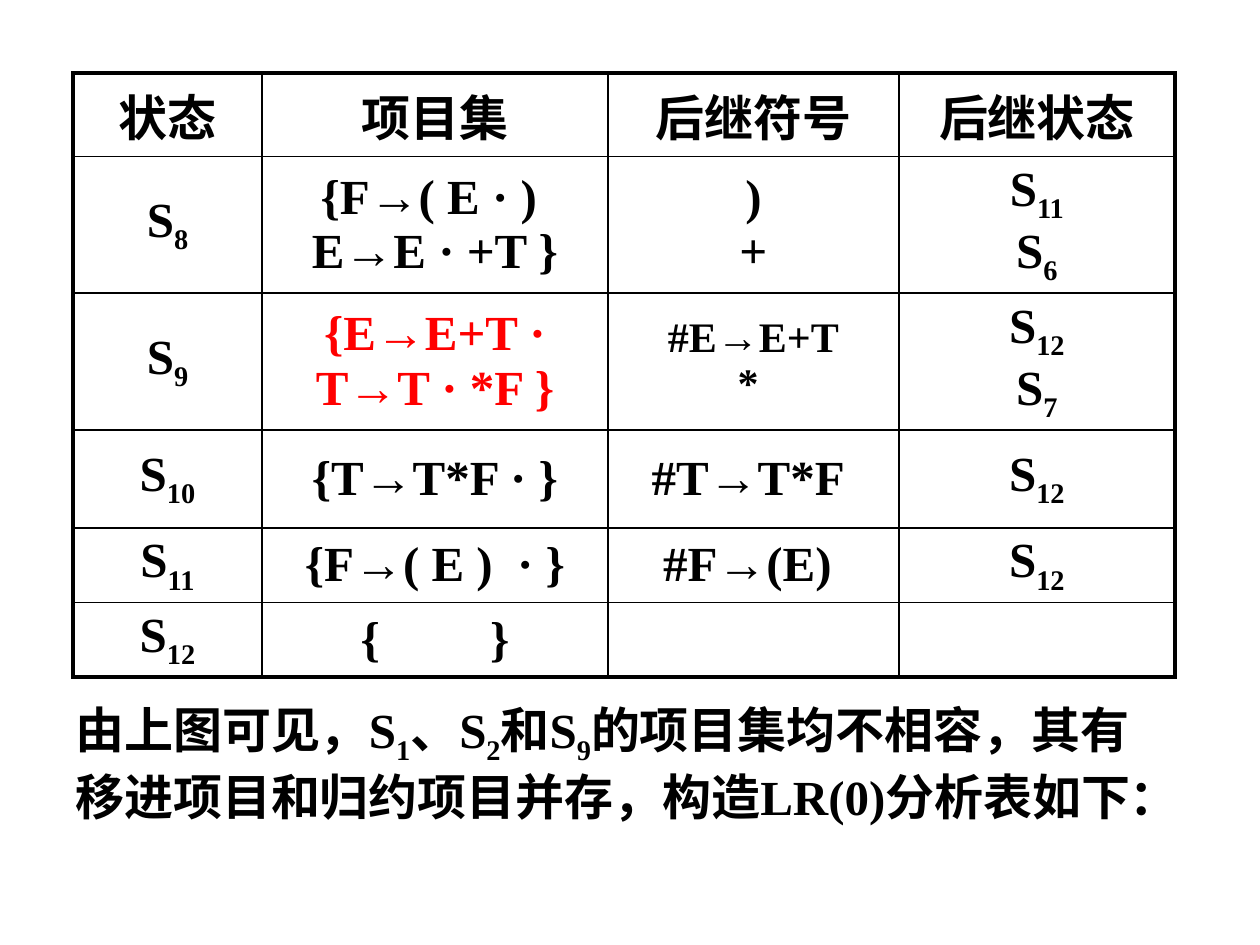
from lxml import etree
from pptx import Presentation
from pptx import util as u
from pptx.dml.color import RGBColor
from pptx.enum import text
from pptx.oxml.ns import qn

SCALE = 914400 // 126
FONT = "Times New Roman"
BLACK, RED = "000000", "FF0000"
COLS = [189, 346, 291, 276]
ROWS = [72, 130, 130, 98, 72, 72]
# Text between underscores is subscript; a line break starts a paragraph.
STATES = [
    ["状态", "项目集", "后继符号", "后继状态"],
    ["S_8", "{F→( E · ) \nE→E · +T }", ")\n+", "S_11\nS_6"],
    ["S_9", "{E→E+T ·\nT→T · *F }", "#E→E+T\n* ", "S_12\nS_7"],
    ["S_10", "{T→T*F · }", "#T→T*F ", "S_12"],
    ["S_11", "{F→( E )  · }", "#F→(E) ", "S_12"],
    ["S_12", "{ }", "", ""],
]
STYLES = {(2, 1): {"color": RED}, (2, 2): {"size": 24}, (5, 1): {"gap": 56}}
NOTE = ("由上图可见，S_1_、S_2_和S_9_的项目集均不相容，"
        "其有移进项目和归约项目并存，构造LR(0)分析表如下：")


def px(num):
    return u.Emu(num * SCALE)


def paint(color, code):
    color.rgb = RGBColor.from_string(code)


def add_run(para, words, size, color, sub=False, gap=0):
    """Add one run; gap is extra letter spacing in points."""
    run = para.add_run()
    run.text = words
    font = run.font
    font.name, font.size, font.bold = FONT, u.Pt(size), True
    paint(font.color, color)
    props = run._r.get_or_add_rPr()
    if sub:
        props.set("baseline", "-25000")
    if gap:
        props.set("spc", str(gap * 100))


def write(frame, words, align, size=28, color=BLACK, gap=0):
    """Fill a frame; gap widens the spaces by that many points."""
    for num, line in enumerate(words.split("\n")):
        para = frame.add_paragraph() if num else frame.paragraphs[0]
        para.alignment = align
        for pos, part in enumerate(line.split("_")):
            pieces = part.partition(" ") if gap else [part]
            for piece in pieces:
                add_run(para, piece, size, color, pos % 2 == 1,
                        gap if piece == " " else 0)


def add_edge(cell, side, index, width):
    line = etree.Element(qn("a:ln" + side), w=str(u.Pt(width)))
    fill = etree.SubElement(line, qn("a:solidFill"))
    etree.SubElement(fill, qn("a:srgbClr"), val=BLACK)
    cell._tc.get_or_add_tcPr().insert(index, line)


def add_states(slide):
    frame = slide.shapes.add_table(len(ROWS), len(COLS), px(73), px(73),
                                   px(sum(COLS)), px(sum(ROWS)))
    table = frame.table
    table.first_row = table.horz_banding = False
    for col, width in zip(table.columns, COLS):
        col.width = px(width)
    for row, height in zip(table.rows, ROWS):
        row.height = px(height)
    for y, row in enumerate(STATES):
        for x, words in enumerate(row):
            cell = table.cell(y, x)
            cell.vertical_anchor = text.MSO_ANCHOR.MIDDLE
            cell.fill.background()
            outer = {"L": x == 0, "R": x == len(COLS) - 1,
                     "T": y == 0, "B": y == len(ROWS) - 1}
            for index, (side, thick) in enumerate(outer.items()):
                add_edge(cell, side, index, 2.25 if thick else 1)
            if words:
                write(cell.text_frame, words, text.PP_ALIGN.CENTER,
                      **STYLES.get((y, x), {}))


def add_note(slide):
    box = slide.shapes.add_textbox(px(63), px(693), px(1113), px(130))
    frame = box.text_frame
    frame.word_wrap = True
    frame.auto_size = text.MSO_AUTO_SIZE.SHAPE_TO_FIT_TEXT
    write(frame, NOTE, text.PP_ALIGN.LEFT)


def main():
    deck = Presentation()
    deck.slide_width, deck.slide_height = px(1260), px(945)
    slide = deck.slides.add_slide(deck.slide_layouts[6])
    add_states(slide)
    add_note(slide)
    deck.save("out.pptx")


if __name__ == "__main__":
    main()
